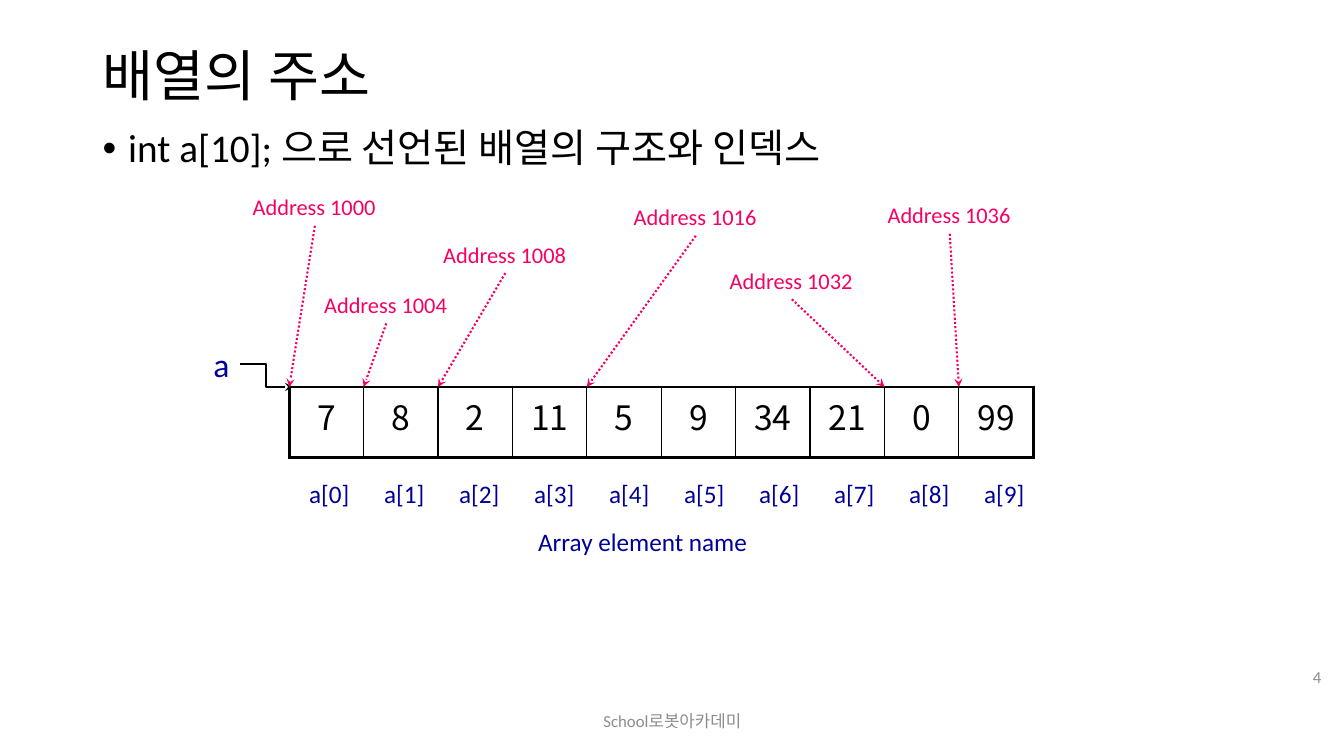
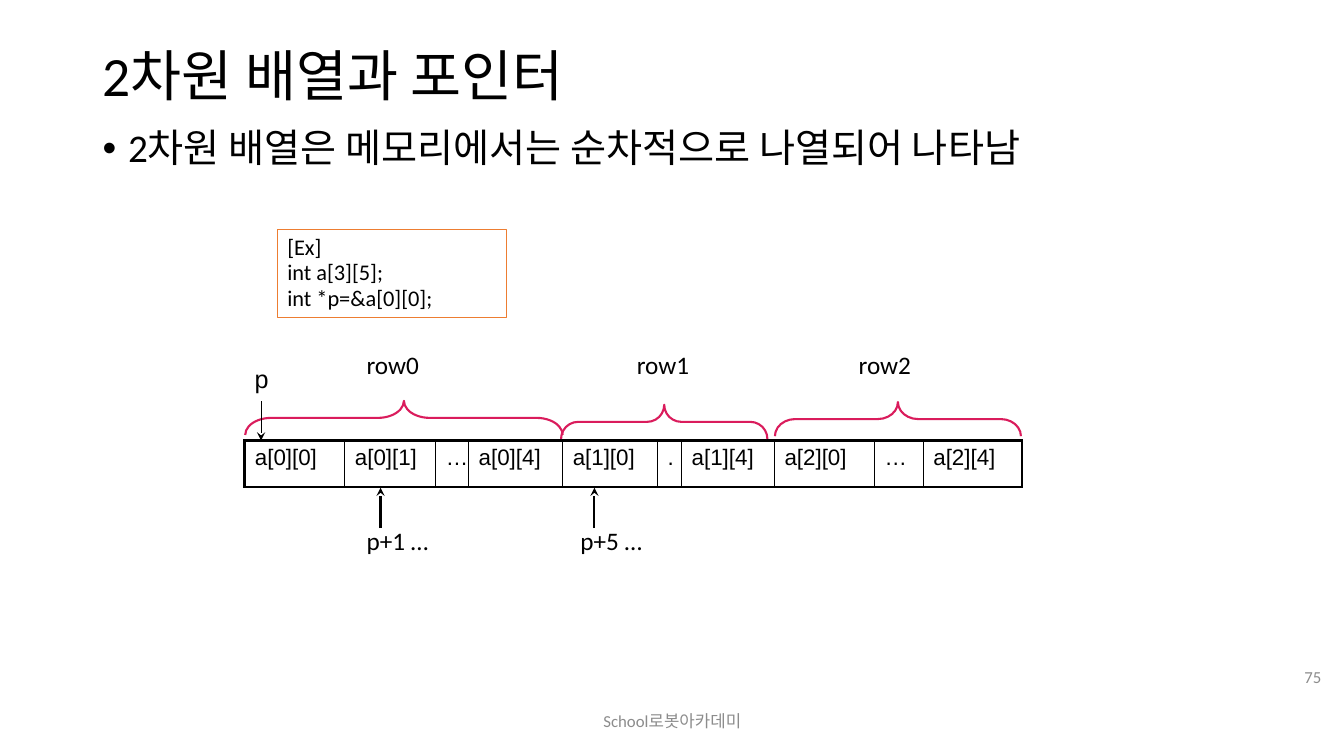
from lxml.etree import SubElement
from pptx import Presentation
from pptx.dml.color import RGBColor
from pptx.enum.dml import MSO_LINE
from pptx.enum.shapes import MSO_CONNECTOR as Link, MSO_SHAPE as Shape
from pptx.enum.text import MSO_ANCHOR as Anchor, PP_ALIGN as Align
from pptx.oxml.ns import qn
from pptx.util import Cm, Pt

BLACK = RGBColor(0x00, 0x00, 0x00)
WHITE = RGBColor(0xFF, 0xFF, 0xFF)
GRAY = RGBColor(0x8C, 0x8C, 0x8C)
NAVY = RGBColor(0x00, 0x00, 0x99)
PINK = RGBColor(0xF6, 0x00, 0x64)
ROSE = RGBColor(0xDA, 0x1C, 0x5C)
ORANGE = RGBColor(0xED, 0x7D, 0x31)
LATIN, KOREAN, SANS = "Calibri", "Noto Sans CJK KR", "Arial"
FOOTER = "School로봇아카데미"

# Slide 1: the array, its first address, and the labelled addresses (address, left, top)
VALUES = [7, 8, 2, 11, 5, 9, 34, 21, 0, 99]
ROW_X, ROW_Y, ROW_H, PITCH = 7.29, 9.75, 1.78, 1.875
BASE, INT_SIZE = 1000, 4
ADDRESSES = [
    (1000, 6.12, 4.75),
    (1004, 7.92, 7.21),
    (1008, 10.92, 5.94),
    (1016, 15.72, 5.0),
    (1032, 18.14, 6.6),
    (1036, 22.12, 4.95),
]

# Slide 2: memory cells (text, width), braces (left, top, length, curve), labels
CODE = ["[Ex]", "int a[3][5];", "int *p=&a[0][0];"]
CELLS = [
    ("a[0][0]", 2.52), ("a[0][1]", 2.29), ("…", 0.83), ("a[0][4]", 2.37),
    ("a[1][0]", 2.39), (".", 0.6), ("a[1][4]", 2.34),
    ("a[2][0]", 2.52), ("…", 1.23), ("a[2][4]", 2.49),
]
MEM_X, MEM_Y, MEM_H = 6.17, 11.1, 1.17
DEPTH = 0.86
BRACES = [
    (6.18, 10.1, 8.0, 0.76),
    (14.14, 10.2, 5.2, 0.5),
    (19.53, 10.13, 6.2, 0.59),
]
ROWS = [("row0", 8.99), ("row1", 15.8), ("row2", 21.39)]
STEPS = [("p+1 …", 8.99), ("p+5 …", 14.38)]


def style(para, size, color=BLACK, font=LATIN, align=Align.LEFT, space=None):
    para.alignment = align
    if space:
        para.line_spacing = space
    for run in para.runs:
        run.font.size = Pt(size)
        run.font.color.rgb = color
        run.font.name = font
        east = SubElement(run.font._element, qn("a:ea"))
        east.set("typeface", KOREAN)


def add_text(slide, text, box, size, color=BLACK, font=LATIN, align=Align.LEFT,
             anchor=Anchor.TOP, wrap=True, space=None):
    shape = slide.shapes.add_textbox(*map(Cm, box))
    frame = shape.text_frame
    frame.text = text
    frame.word_wrap = wrap
    frame.vertical_anchor = anchor
    style(frame.paragraphs[0], size, color, font, align, space)
    return shape


def add_bullet(para):
    props = para._p.get_or_add_pPr()
    props.set("marL", str(Cm(0.64)))
    props.set("indent", str(-Cm(0.64)))
    SubElement(props, qn("a:buFont")).set("typeface", SANS)
    SubElement(props, qn("a:buChar")).set("char", "•")


def add_arrow(slide, start, end, color=BLACK, width=1.5, dash=None,
              kind=Link.STRAIGHT, source=None, side=2):
    """Draw an arrow; with a source shape it starts at the middle of that side."""
    arrow = slide.shapes.add_connector(kind, *map(Cm, start + end))
    if source is not None:
        arrow.begin_connect(source, side)
    arrow.line.color.rgb = color
    arrow.line.width = Pt(width)
    if dash:
        arrow.line.dash_style = dash
    props = arrow._element.spPr
    SubElement(props.find(qn("a:ln")), qn("a:tailEnd")).set("type", "stealth")
    SubElement(props, qn("a:effectLst"))


def set_border(cell, widths):
    """Give a cell black borders; widths are points for left, right, top, bottom."""
    props = cell._tc.get_or_add_tcPr()
    for place, (side, width) in enumerate(zip("LRTB", widths)):
        edge = SubElement(props, qn(f"a:ln{side}"))
        edge.set("w", str(Pt(width)))
        fill = SubElement(edge, qn("a:solidFill"))
        SubElement(fill, qn("a:srgbClr")).set("val", str(BLACK))
        props.insert(place, edge)


def add_row(slide, texts, widths, left, top, height, size, font, align):
    frame = slide.shapes.add_table(1, len(texts), Cm(left), Cm(top),
                                   Cm(sum(widths)), Cm(height))
    table = frame.table
    table.first_row = table.horz_banding = False
    table.rows[0].height = Cm(height)
    last = len(texts) - 1
    for i, (text, width) in enumerate(zip(texts, widths)):
        table.columns[i].width = Cm(width)
        cell = table.cell(0, i)
        cell.text = text
        cell.fill.background()
        style(cell.text_frame.paragraphs[0], size, BLACK, font, align)
        set_border(cell, (2.25 if i == 0 else 1, 2.25 if i == last else 1, 2.25, 2.25))


def add_brace(slide, left, top, length, curve):
    """Draw a brace that lies over a row and points up."""
    shift = (length - DEPTH) / 2
    brace = slide.shapes.add_shape(Shape.RIGHT_BRACE, Cm(left + shift), Cm(top - shift),
                                   Cm(DEPTH), Cm(length))
    brace.rotation = 270
    brace.adjustments[0] = curve
    brace.shadow.inherit = False
    brace.fill.background()
    brace.line.color.rgb = ROSE
    brace.line.width = Pt(1.5)


def add_code(slide, lines, box):
    shape = slide.shapes.add_shape(Shape.RECTANGLE, *map(Cm, box))
    shape.shadow.inherit = False
    shape.fill.solid()
    shape.fill.fore_color.rgb = WHITE
    shape.line.color.rgb = ORANGE
    shape.line.width = Pt(0.5)
    frame = shape.text_frame
    frame.text = "\n".join(lines)
    frame.vertical_anchor = Anchor.TOP
    for para in frame.paragraphs:
        style(para, 16, space=0.95)


def add_slide(deck, title, point, number):
    slide = deck.slides.add_slide(deck.slide_layouts[6])
    add_text(slide, title, (2.34, 1.02, 29.21, 1.9), 39.6, anchor=Anchor.MIDDLE, space=0.9)
    body = add_text(slide, point, (2.34, 3.12, 29.21, 14.05), 28, space=0.9)
    add_bullet(body.text_frame.paragraphs[0])
    add_text(slide, FOOTER, (11.23, 17.65, 11.43, 1.02), 12, GRAY,
             align=Align.CENTER, anchor=Anchor.MIDDLE)
    add_text(slide, str(number), (31.98, 16.54, 1.57, 1.02), 12, GRAY,
             align=Align.RIGHT, anchor=Anchor.MIDDLE)
    return slide


def draw_array(deck):
    slide = add_slide(deck, "배열의 주소", "int a[10]; 으로 선언된 배열의 구조와 인덱스", 4)
    add_row(slide, [str(value) for value in VALUES], [PITCH] * len(VALUES),
            ROW_X, ROW_Y, ROW_H, 24, KOREAN, Align.CENTER)
    name = add_text(slide, "a", (5.13, 8.53, 0.91, 1.27), 24, NAVY, wrap=False)
    add_arrow(slide, (6.04, 9.17), (ROW_X + 0.1, ROW_Y), kind=Link.ELBOW,
              source=name, side=3)
    for i in range(len(VALUES)):
        add_text(slide, f"a[{i}]", (7.36 + 1.89 * i, 11.94, PITCH, 1.02), 18, NAVY,
                 align=Align.CENTER, wrap=False)
    add_text(slide, "Array element name", (13.31, 13.13, 5.77, 1.02), 18, NAVY, wrap=False)
    for address, left, top in ADDRESSES:
        label = add_text(slide, f"Address {address}", (left, top, 3.63, 0.94), 16, PINK,
                         wrap=False)
        edge = ROW_X + PITCH * (address - BASE) / INT_SIZE
        add_arrow(slide, (left, top), (edge, ROW_Y), PINK, dash=MSO_LINE.ROUND_DOT,
                  source=label)


def draw_memory(deck):
    slide = add_slide(deck, "2차원 배열과 포인터",
                      "2차원 배열은 메모리에서는 순차적으로 나열되어 나타남", 75)
    add_code(slide, CODE, (6.99, 5.79, 5.77, 2.21))
    texts, widths = zip(*CELLS)
    add_row(slide, texts, widths, MEM_X, MEM_Y, MEM_H, 16, SANS, Align.LEFT)
    for brace in BRACES:
        add_brace(slide, *brace)
    for text, left in ROWS:
        add_text(slide, text, (left, 8.69, 1.98, 1.02), 18)
    add_text(slide, "p", (MEM_X, 9.04, 1.6, 1.02), 18, font=SANS)
    add_arrow(slide, (6.58, 10.11), (6.58, MEM_Y), width=0.75)
    for text, left in STEPS:
        add_text(slide, text, (left, 13.11, 2.39, 1.02), 18)
        add_arrow(slide, (left + 0.6, 13.31), (left + 0.6, 12.29))


def main():
    deck = Presentation()
    deck.slide_width, deck.slide_height = Cm(33.87), Cm(19.05)
    draw_array(deck)
    draw_memory(deck)
    deck.save("out.pptx")


if __name__ == "__main__":
    main()
